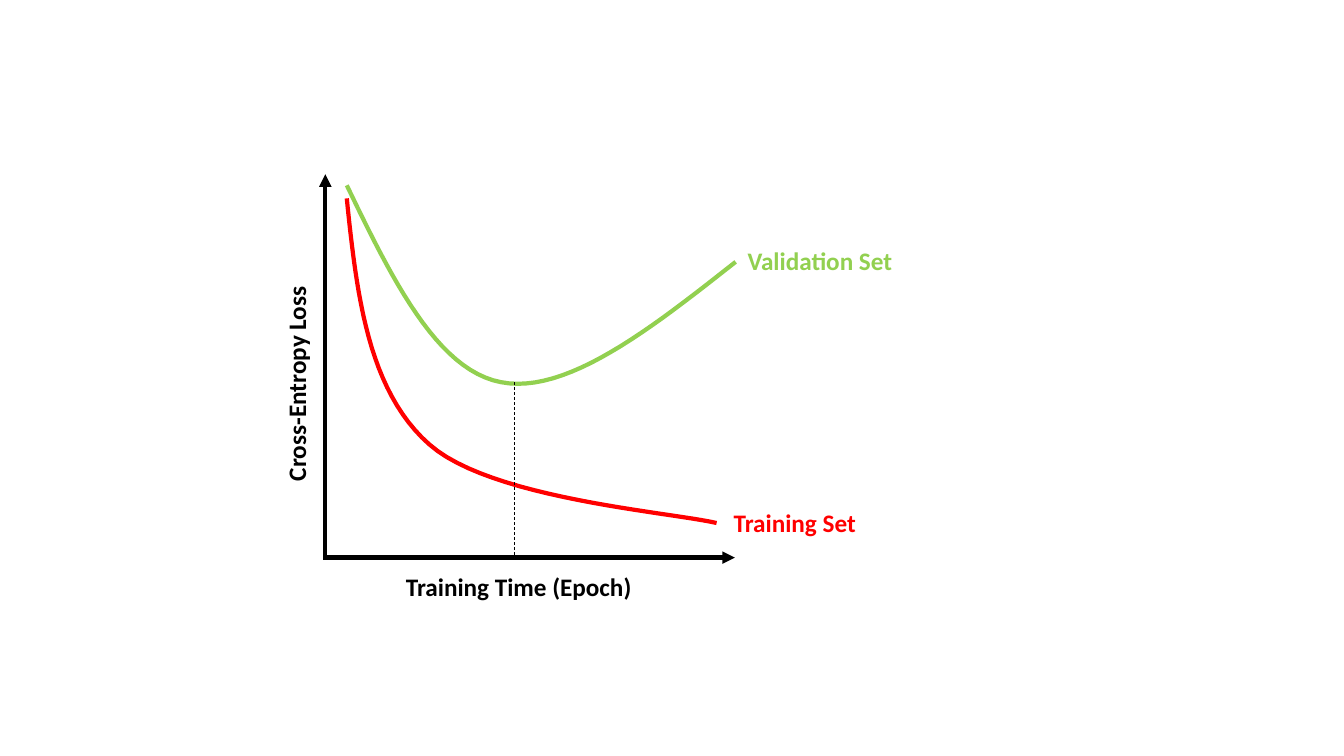
from typing import NamedTuple

from lxml.etree import SubElement
from pptx import Presentation
from pptx.dml.color import RGBColor
from pptx.enum.dml import MSO_LINE as Dash
from pptx.enum.shapes import MSO_CONNECTOR as Link
from pptx.enum.text import MSO_AUTO_SIZE as Fit
from pptx.oxml.ns import qn
from pptx.util import Cm, Pt

RED, GREEN, BLACK = "FF0000", "92D050", "000000"
LEFT, BASE = 8.2, 14.05
BEST = 12.95
STEPS = 24

Point = tuple[float, float]


class Line(NamedTuple):
    """A straight line, in centimetres."""
    start: Point
    end: Point
    width: float = 3
    arrow: bool = True


class Curve(NamedTuple):
    """A chain of cubic curves: a start, then three points for each."""
    color: str
    points: list[Point]


class Label(NamedTuple):
    """A bold label, in centimetres."""
    text: str
    left: float
    top: float
    width: float
    color: str = BLACK
    turn: float = 0


AXES = [
    Line((LEFT, 14.1), (LEFT, 4.39)),
    Line((LEFT, BASE), (18.52, BASE)),
]
CURVES = [
    Curve(RED, [(8.74, 5), (8.99, 7.42), (9.27, 9.83), (10.82, 11.2),
                (12.37, 12.57), (16.84, 12.9), (18.06, 13.18)]),
    Curve(GREEN, [(8.74, 4.67), (9.86, 6.99), (11, 9.32), (12.62, 9.63),
                  (14.27, 9.96), (16.41, 8.28), (18.54, 6.6)]),
]
LABELS = [
    Label("Validation Set", 18.59, 6.05, 6.27, GREEN),
    Label("Training Set", 18.24, 12.65, 6.27, RED),
    Label("Training Time (Epoch)", 9.98, 14.27, 6.4),
    Label("Cross-Entropy Loss", 4.27, 8.66, 6.4, turn=270),
]
MARK = Line((BEST, 9.63), (BEST, BASE), width=0.5, arrow=False)


def paint(target, color: str) -> None:
    """Set the colour of a font or a line."""
    fill = target.fill if hasattr(target, "fill") else target
    fill.solid()
    fill.fore_color.rgb = RGBColor.from_string(color)


def draw_line(shapes, line: Line) -> None:
    """Draw an arrow, or a dashed line if it has no head."""
    ends = [Cm(v) for v in line.start + line.end]
    link = shapes.add_connector(Link.STRAIGHT, *ends)
    paint(link.line, BLACK)
    link.line.width = Pt(line.width)
    if line.arrow:
        SubElement(link.line._get_or_add_ln(), qn("a:tailEnd"), type="triangle")
    else:
        link.line.dash_style = Dash.DASH
    SubElement(link._element.spPr, qn("a:effectLst"))


def trace(points: list[Point]) -> list[Point]:
    """Return points along a chain of cubic curves."""
    spots = [points[0]]
    for i in range(0, len(points) - 1, 3):
        for step in range(1, STEPS + 1):
            t = step / STEPS
            u = 1 - t
            parts = (u ** 3, 3 * u * u * t, 3 * u * t * t, t ** 3)
            spots.append(tuple(
                sum(k * p[axis] for k, p in zip(parts, points[i:i + 4]))
                for axis in (0, 1)))
    return spots


def draw_curve(shapes, curve: Curve) -> None:
    """Draw a smooth open curve."""
    first, *rest = [(Cm(x), Cm(y)) for x, y in trace(curve.points)]
    pen = shapes.build_freeform(*first)
    pen.add_line_segments(rest, close=False)
    shape = pen.convert_to_shape()
    shape.shadow.inherit = False
    shape.fill.background()
    paint(shape.line, curve.color)
    shape.line.width = Pt(3)


def draw_label(shapes, label: Label) -> None:
    """Write a label."""
    box = shapes.add_textbox(Cm(label.left), Cm(label.top),
                             Cm(label.width), Cm(1.03))
    box.rotation = label.turn
    frame = box.text_frame
    frame.word_wrap = True
    frame.auto_size = Fit.SHAPE_TO_FIT_TEXT
    frame.text = label.text
    font = frame.paragraphs[0].runs[0].font
    font.name, font.size, font.bold = "Calibri", Pt(18), True
    paint(font, label.color)


def main() -> None:
    """Build the slide and save it."""
    deck = Presentation()
    deck.slide_width, deck.slide_height = Cm(33.87), Cm(19.05)
    shapes = deck.slides.add_slide(deck.slide_layouts[6]).shapes
    for axis in AXES:
        draw_line(shapes, axis)
    for curve in CURVES:
        draw_curve(shapes, curve)
    for label in LABELS:
        draw_label(shapes, label)
    draw_line(shapes, MARK)
    deck.save("out.pptx")


main()
